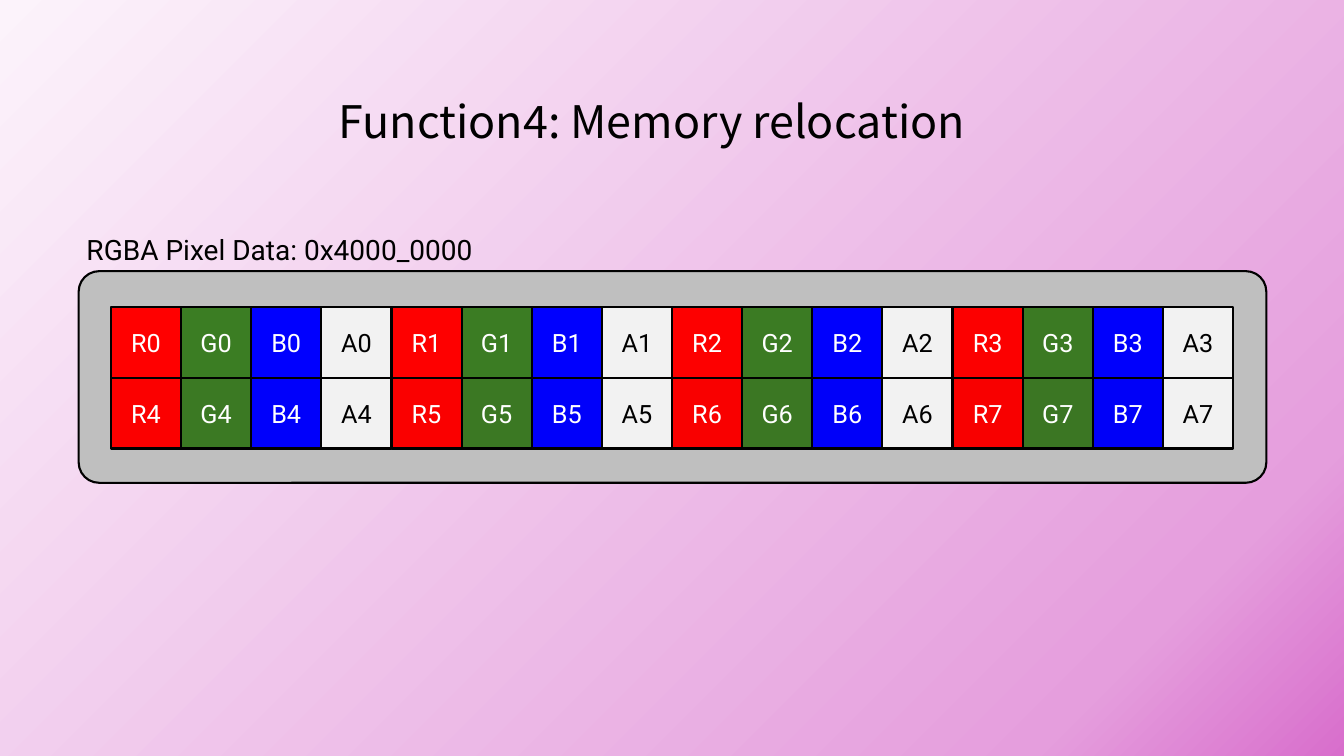
from copy import deepcopy

from pptx import Presentation
from pptx.dml.color import RGBColor
from pptx.enum.shapes import MSO_SHAPE
from pptx.enum.text import MSO_ANCHOR, MSO_AUTO_SIZE, PP_ALIGN
from pptx.util import Inches, Pt

BLACK = RGBColor(0x00, 0x00, 0x00)
WHITE = RGBColor(0xFF, 0xFF, 0xFF)
GREY = RGBColor(0xBF, 0xBF, 0xBF)
BACKDROP = [
    (0, RGBColor(0xFC, 0xF3, 0xFB)),
    (0.85, RGBColor(0xE5, 0x9E, 0xDD)),
    (1, RGBColor(0xD8, 0x6E, 0xCC)),
]

HEADINGS = [
    ("RGBA Pixel Data: 0x4000_0000", "Roboto", 20, (0.76, 2.26, 4.13, 0.44)),
    ("Function4: Memory relocation", "Noto Sans CJK KR", 32, (3.26, 0.88, 6.81, 0.64)),
]
CHANNELS = [
    ("R", (0xFF, 0x00, 0x00), (1, 0, 0), WHITE),
    ("G", (0x3B, 0x7D, 0x23), (0, 1, 0), WHITE),
    ("B", (0x00, 0x00, 0xFF), (0, 0, 1), WHITE),
    ("A", (0xF2, 0xF2, 0xF2), (0, 0, 0), BLACK),
]
PIXELS = 8
PIXELS_PER_ROW = 4

MEMORY = (0.78, 2.69, 11.78, 2.1)
GRID_LEFT, GRID_TOP = 1.1, 3.05
GRID_WIDTH, ROW_HEIGHT = 11.13, 0.7
BYTE_WIDTH = GRID_WIDTH / (PIXELS_PER_ROW * len(CHANNELS))


def add_block(slide, kind, box, colour):
    block = slide.shapes.add_shape(kind, *map(Inches, box))
    block.shadow.inherit = False
    block.fill.solid()
    block.fill.fore_color.rgb = colour
    block.line.color.rgb = BLACK
    block.line.width = Pt(1.5)
    return block


def write(frame, text, font_name, size, colour):
    frame.text = text
    font = frame.paragraphs[0].font
    font.name = font_name
    font.size = Pt(size)
    font.color.rgb = colour


def paint_backdrop(slide):
    fill = slide.background.fill
    fill.gradient()
    fill.gradient_angle = 315
    stop_list = slide.element.xpath(".//a:gsLst")[0]
    stop_list.append(deepcopy(stop_list[-1]))
    for stop, (position, colour) in zip(fill.gradient_stops, BACKDROP):
        stop.position = position
        stop.color.rgb = colour


def add_pixel(slide, pixel):
    row, place = divmod(pixel, PIXELS_PER_ROW)
    for index, (channel, base, step, ink) in enumerate(CHANNELS):
        column = place * len(CHANNELS) + index
        box = (GRID_LEFT + column * BYTE_WIDTH, GRID_TOP + row * ROW_HEIGHT,
               BYTE_WIDTH, ROW_HEIGHT)
        shade = RGBColor(*(b - s * pixel for b, s in zip(base, step)))
        frame = add_block(slide, MSO_SHAPE.RECTANGLE, box, shade).text_frame
        write(frame, f"{channel}{pixel}", "Roboto", 18, ink)
        frame.vertical_anchor = MSO_ANCHOR.MIDDLE
        frame.paragraphs[0].alignment = PP_ALIGN.CENTER


def main():
    deck = Presentation()
    deck.slide_width, deck.slide_height = Inches(13.33), Inches(7.5)
    slide = deck.slides.add_slide(deck.slide_layouts[6])
    paint_backdrop(slide)
    memory = add_block(slide, MSO_SHAPE.ROUNDED_RECTANGLE, MEMORY, GREY)
    memory.adjustments[0] = 0.097
    for pixel in range(PIXELS):
        add_pixel(slide, pixel)
    for text, font_name, size, box in HEADINGS:
        frame = slide.shapes.add_textbox(*map(Inches, box)).text_frame
        frame.word_wrap = False
        frame.auto_size = MSO_AUTO_SIZE.SHAPE_TO_FIT_TEXT
        write(frame, text, font_name, size, BLACK)
    deck.save("out.pptx")


if __name__ == "__main__":
    main()
